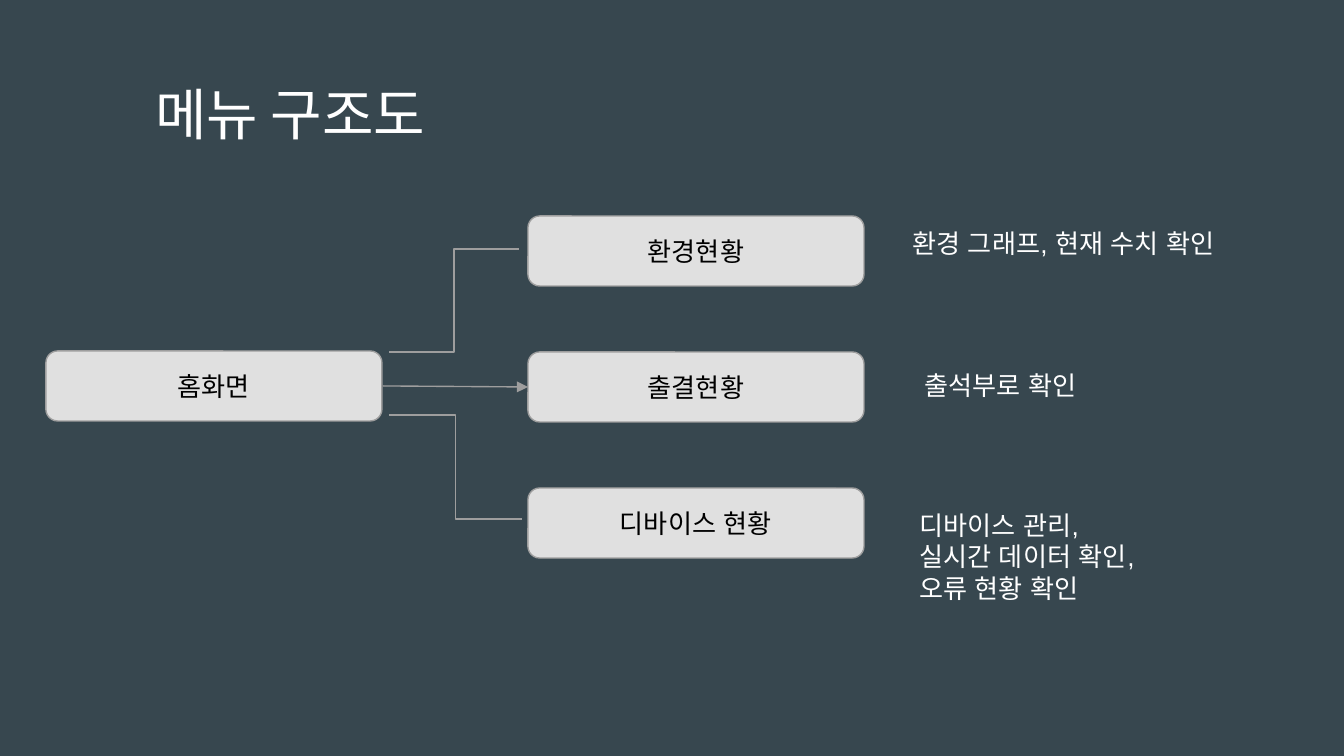
from typing import NamedTuple

from lxml import etree
from pptx import Presentation, util as u
from pptx.dml.color import RGBColor
from pptx.enum import shapes, text
from pptx.oxml.ns import qn

EMU_PER_PX = 914400 / 134.4
BACKGROUND, BOX_FILL, GREY = "37474F", "E0E0E0", "9E9E9E"
WHITE, BLACK = "FFFFFF", "000000"
BOX_W, BOX_H = 336, 70
MENU_X, MENU_Y, MENU_STEP = 528, 216, 136


class Label(NamedTuple):
    text: str
    x: int
    y: int
    w: int
    h: int
    size: int = 14
    font: str = "Arial"


class Link(NamedTuple):
    x1: int
    y1: int
    x2: int
    y2: int
    kind: shapes.MSO_CONNECTOR = shapes.MSO_CONNECTOR.ELBOW
    arrow: bool = False


def px(n: int) -> u.Emu:
    return u.Emu(round(n * EMU_PER_PX))


def rgb(value: str) -> RGBColor:
    return RGBColor.from_string(value)


def write(tf, label: Label, color: str, align, anchor) -> None:
    tf.word_wrap = True
    tf.vertical_anchor = anchor
    tf.margin_left = tf.margin_right = tf.margin_top = tf.margin_bottom = u.Inches(0.1)
    tf.text = label.text
    for p in tf.paragraphs:
        p.alignment = align
        for r in p.runs:
            r.font.size = u.Pt(label.size)
            r.font.name = label.font
            r.font.color.rgb = rgb(color)
            etree.SubElement(r.font._element, qn("a:ea"), typeface=label.font)


def add_label(s, label: Label) -> None:
    sp = s.shapes.add_textbox(px(label.x), px(label.y), px(label.w), px(label.h))
    write(sp.text_frame, label, WHITE, text.PP_ALIGN.LEFT, text.MSO_ANCHOR.TOP)


def add_box(s, label: Label) -> None:
    sp = s.shapes.add_shape(
        shapes.MSO_SHAPE.ROUNDED_RECTANGLE,
        px(label.x), px(label.y), px(label.w), px(label.h),
    )
    sp.shadow.inherit = False
    sp.fill.solid()
    sp.fill.fore_color.rgb = rgb(BOX_FILL)
    sp.line.color.rgb = rgb(GREY)
    sp.line.width = u.Pt(0.75)
    write(sp.text_frame, label, BLACK, text.PP_ALIGN.CENTER, text.MSO_ANCHOR.MIDDLE)


def add_link(s, link: Link) -> None:
    cx = s.shapes.add_connector(
        link.kind, px(link.x1), px(link.y1), px(link.x2), px(link.y2)
    )
    cx.line.color.rgb = rgb(GREY)
    cx.line.width = u.Pt(0.75)
    if link.arrow:
        etree.SubElement(cx.line._get_or_add_ln(), qn("a:tailEnd"), type="triangle")
    etree.SubElement(cx._element.spPr, qn("a:effectLst"))


TITLE = Label("메뉴 구조도", 142, 66, 1059, 85, 30, "Roboto Condensed")
HOME = Label("홈화면", 46, 351, BOX_W, BOX_H)
MENUS = [
    Label(name, MENU_X, MENU_Y + i * MENU_STEP, BOX_W, BOX_H)
    for i, name in enumerate(["환경현황", "출결현황", "디바이스 현황"])
]
LINKS = [
    Link(383, 386, 528, 387, shapes.MSO_CONNECTOR.STRAIGHT, True),
    Link(389, 352, 519, 249),
    Link(389, 415, 522, 519),
]
NOTES = [
    Label("환경 그래프, 현재 수치 확인", 899, 214, 399, 78),
    Label("출석부로 확인", 911, 356, 361, 78),
    Label("디바이스 관리,\n실시간 데이터 확인,\n오류 현황 확인", 906, 496, 410, 122),
]


def main() -> None:
    prs = Presentation()
    prs.slide_width, prs.slide_height = px(1344), px(756)
    s = prs.slides.add_slide(prs.slide_layouts[6])
    s.background.fill.solid()
    s.background.fill.fore_color.rgb = rgb(BACKGROUND)

    add_label(s, TITLE)
    add_box(s, HOME)
    for link in LINKS:
        add_link(s, link)
    for menu in MENUS:
        add_box(s, menu)
    for note in NOTES:
        add_label(s, note)
    prs.save("out.pptx")


if __name__ == "__main__":
    main()
